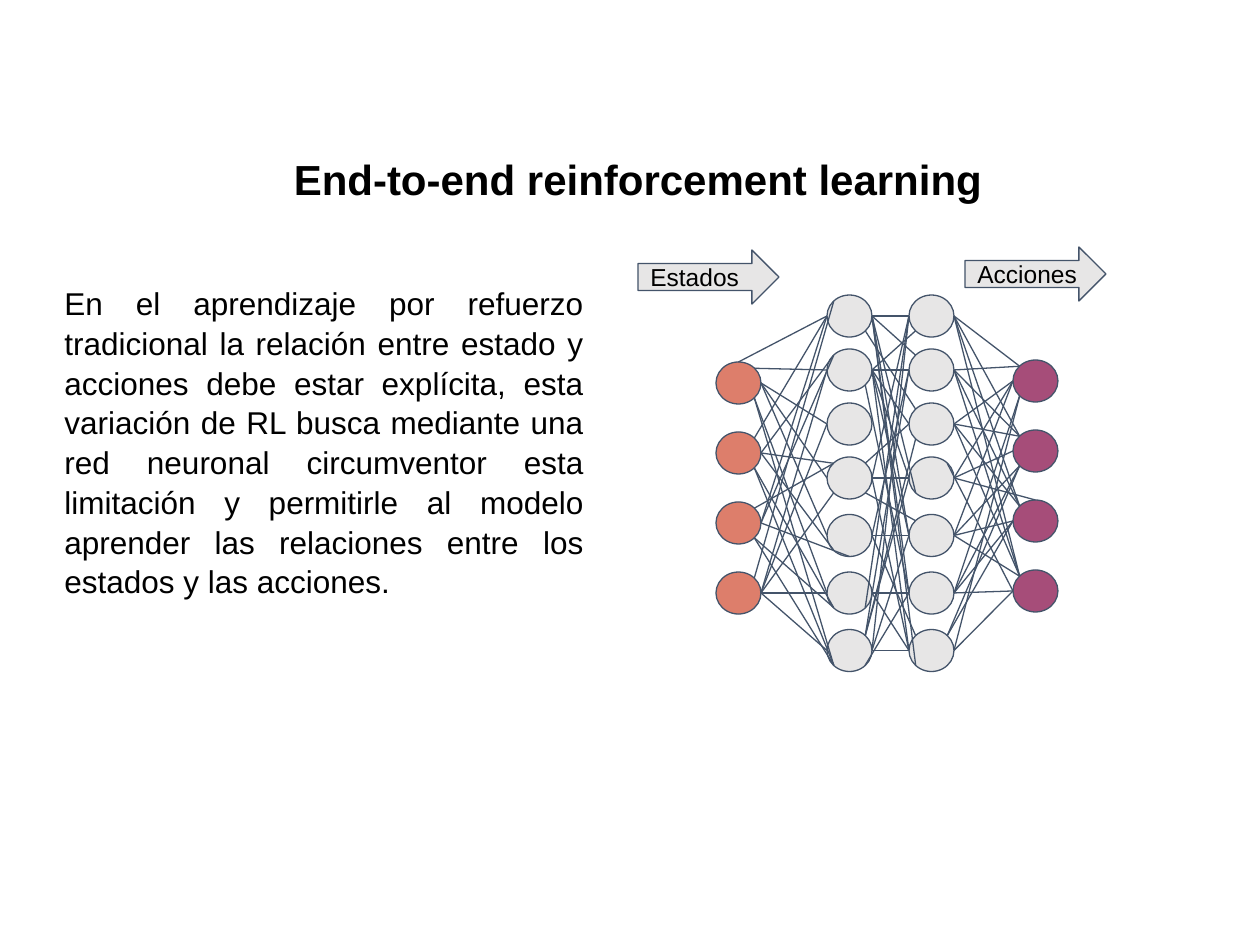
import lxml.etree
import pptx
import pptx.dml.color
import pptx.enum.shapes
import pptx.enum.text
import pptx.oxml.ns
import pptx.util

EMU_PER_PX = 914400 // 126
SLIDE_W, SLIDE_H = 1260, 945
FONT = "Arial"
BLACK, OUTLINE, GREY = "000000", "44546A", "E7E6E6"
STATE_COLOUR, ACTION_COLOUR = "DD7E6B", "A64D79"
NEURON_W, NEURON_H = 45, 42

# Points on a neuron's rim as fractions of its width and height
RIM = {"n": (0.5, 0), "ne": (0.85, 0.15), "e": (1, 0.5), "se": (0.85, 0.85),
       "s": (0.5, 1), "sw": (0.15, 0.85), "w": (0, 0.5), "nw": (0.15, 0.15)}

# One row per neuron: the rim points joined, "from>to", for each neuron
# of the neighbouring layer in turn; "-" where the two are not joined
STATE_LINKS = [
    "n>w ne>w e>w e>w e>w se>w se>sw",
    "ne>w e>nw - e>nw e>sw se>sw se>sw",
    "e>w e>nw - ne>nw e>s se>sw se>sw",
    "ne>nw e>w e>w e>sw - e>w e>w",
]
HIDDEN_LINKS = [
    "e>w e>nw se>nw e>sw e>w e>w e>sw",
    "e>sw e>w e>w e>w e>w se>w e>w",
    "- - - - - - -",
    "e>w - ne>w e>w se>nw - e>w",
    "- e>w - - e>w - e>nw",
    "se>w - - - - e>w e>w",
    "e>w ne>w ne>sw ne>w e>w se>w e>w",
]
ACTION_LINKS = [
    "nw>e nw>e w>e w>e w>e sw>e sw>e",
    "nw>e nw>e nw>e w>e sw>e sw>e sw>ne",
    "nw>e nw>e nw>e n>e w>e w>e w>ne",
    "nw>e nw>e nw>e w>ne nw>e w>e w>e",
]


def px(length):
    return pptx.util.Emu(round(length * EMU_PER_PX))


def colour(hex_string):
    return pptx.dml.color.RGBColor.from_string(hex_string)


def write(shape, words, size, align, bold=False):
    frame = shape.text_frame
    frame.word_wrap = True
    frame.margin_left = frame.margin_right = pptx.util.Inches(0.1)
    frame.margin_top = frame.margin_bottom = pptx.util.Inches(0.1)
    frame.text = words
    paragraph = frame.paragraphs[0]
    paragraph.alignment = align
    font = paragraph.runs[0].font
    font.name, font.size, font.bold = FONT, pptx.util.Pt(size), bold
    font.color.rgb = colour(BLACK)
    return paragraph


def outlined(slide, preset, box, fill):
    shape = slide.shapes.add_shape(preset, *map(px, box))
    shape.shadow.inherit = False
    shape.fill.solid()
    shape.fill.fore_color.rgb = colour(fill)
    shape.line.color.rgb = colour(OUTLINE)
    shape.line.width = pptx.util.Pt(0.75)
    return shape


def add_title(slide, box):
    title = slide.shapes.add_textbox(*map(px, box))
    write(title, "End-to-end reinforcement learning", 24,
          pptx.enum.text.PP_ALIGN.CENTER, bold=True)


def add_explanation(slide, box):
    explanation = slide.shapes.add_textbox(*map(px, box))
    paragraph = write(
        explanation,
        "En el aprendizaje por refuerzo tradicional la relación entre estado y "
        "acciones debe estar explícita, esta variación de RL busca mediante una "
        "red neuronal circumventor esta limitación y permitirle al modelo "
        "aprender las relaciones entre los estados y las acciones.",
        18, pptx.enum.text.PP_ALIGN.JUSTIFY)
    paragraph.line_spacing = 1.05


def add_flow_arrow(slide, box, label):
    arrow = outlined(slide, pptx.enum.shapes.MSO_SHAPE.RIGHT_ARROW, box, GREY)
    write(arrow, label, 14, pptx.enum.text.PP_ALIGN.LEFT)
    arrow.text_frame.vertical_anchor = pptx.enum.text.MSO_ANCHOR.MIDDLE


def add_layer(slide, left, tops, fill):
    """Draw one column of neurons and return their top-left corners."""
    for top in tops:
        outlined(slide, pptx.enum.shapes.MSO_SHAPE.OVAL,
                 (left, top, NEURON_W, NEURON_H), fill)
    return [(left, top) for top in tops]


def rim_point(neuron, side):
    across, down = RIM[side]
    return px(neuron[0] + across * NEURON_W), px(neuron[1] + down * NEURON_H)


def link_layers(slide, sources, targets, links):
    for source, row in zip(sources, links):
        for target, link in zip(targets, row.split()):
            if link == "-":
                continue
            start, end = link.split(">")
            synapse = slide.shapes.add_connector(
                pptx.enum.shapes.MSO_CONNECTOR.STRAIGHT,
                *rim_point(source, start), *rim_point(target, end))
            synapse.line.color.rgb = colour(OUTLINE)
            synapse.line.width = pptx.util.Pt(0.75)
            lxml.etree.SubElement(synapse._element.spPr,
                                  pptx.oxml.ns.qn("a:effectLst"))


def add_network(slide, box):
    left, top, width, _ = box
    hidden_tops = [top + 54 * i + 3.5 * max(i - 3, 0) for i in range(7)]
    state_tops = [top + 67 + 70 * i for i in range(4)]
    action_tops = [top + 65 + 70 * i for i in range(4)]

    hidden_in = add_layer(slide, left + 111, hidden_tops, GREY)
    hidden_out = add_layer(slide, left + 193, hidden_tops, GREY)
    states = add_layer(slide, left, state_tops, STATE_COLOUR)
    actions = add_layer(slide, left + width - NEURON_W, action_tops, ACTION_COLOUR)

    link_layers(slide, states, hidden_in, STATE_LINKS)
    link_layers(slide, hidden_in, hidden_out, HIDDEN_LINKS)
    link_layers(slide, actions, hidden_out, ACTION_LINKS)


def main():
    deck = pptx.Presentation()
    deck.slide_width, deck.slide_height = px(SLIDE_W), px(SLIDE_H)
    slide = deck.slides.add_slide(deck.slide_layouts[6])
    add_title(slide, (52, 141, 1172, 115))
    add_explanation(slide, (52, 270, 544, 505))
    add_network(slide, (716, 295, 342, 377))
    add_flow_arrow(slide, (638, 250, 141, 54), "Estados")
    add_flow_arrow(slide, (965, 247, 141, 54), "Acciones")
    deck.save("out.pptx")


if __name__ == "__main__":
    main()
